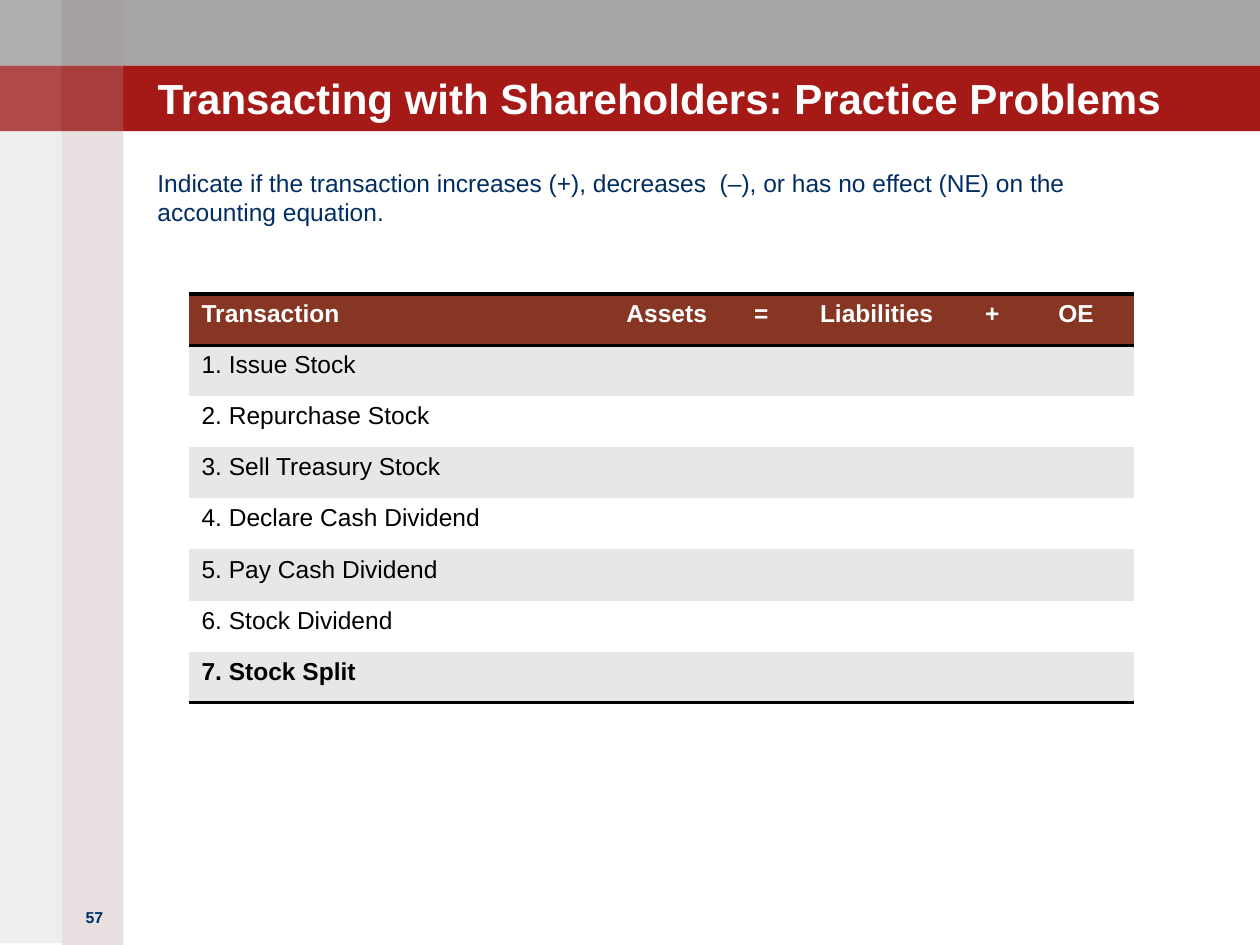
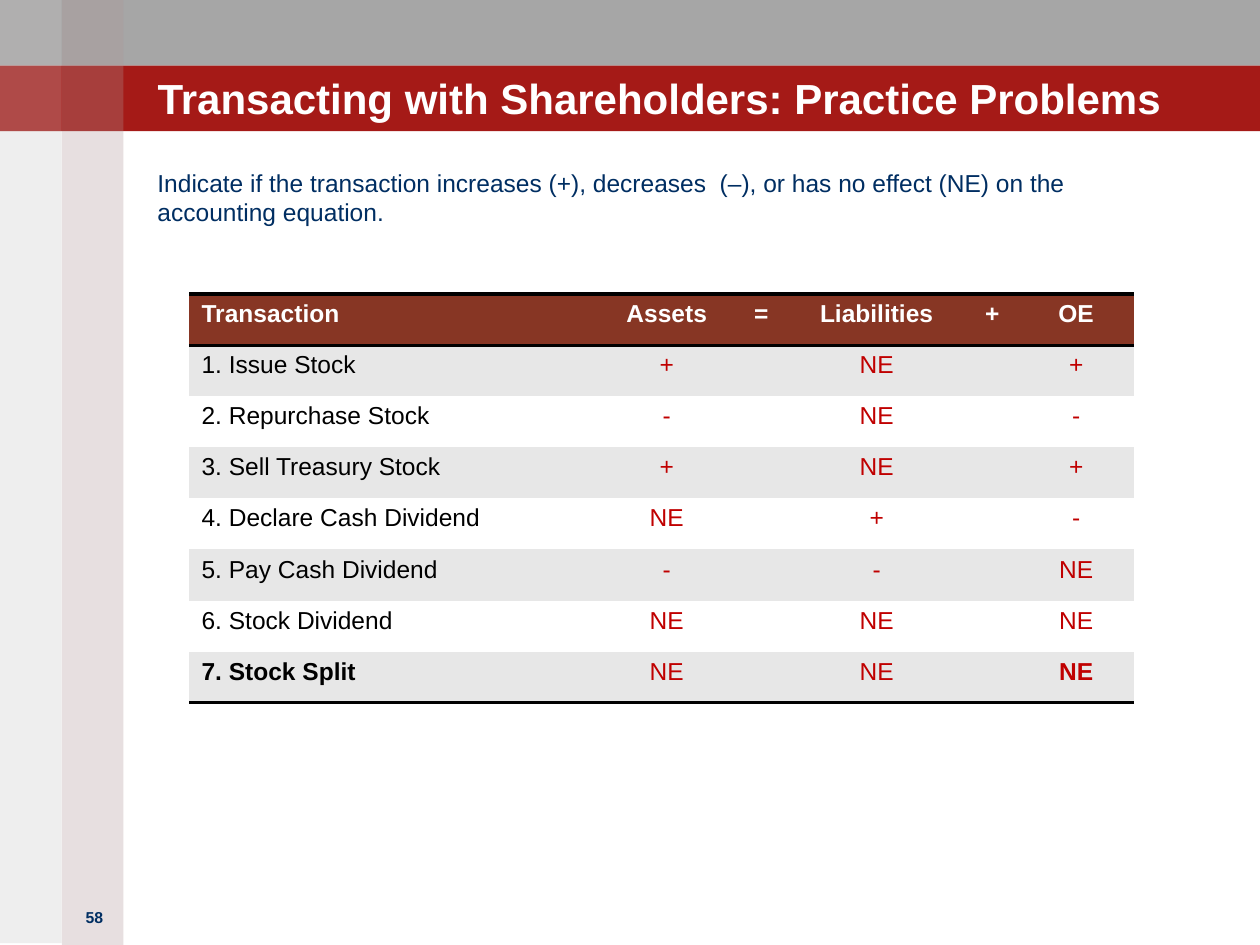
import pptx
import pptx.dml.color
import pptx.enum.shapes
import pptx.enum.text
import pptx.oxml
import pptx.oxml.ns
import pptx.util

Pt = pptx.util.Pt
RGBColor = pptx.dml.color.RGBColor
ALIGN = pptx.enum.text.PP_ALIGN
ANCHOR = pptx.enum.text.MSO_ANCHOR
qn = pptx.oxml.ns.qn

# Colours
WHITE = RGBColor(0xFF, 0xFF, 0xFF)
BLACK = RGBColor(0, 0, 0)
GREY = RGBColor(0xA6, 0xA6, 0xA6)
RED = RGBColor(0xA5, 0x1A, 0x17)
ROSE = RGBColor(0xA0, 0x82, 0x84)
ASH = RGBColor(0x93, 0x8F, 0x8F)
NAVY = RGBColor(0x00, 0x2E, 0x62)
BROWN = RGBColor(0x87, 0x36, 0x24)
ROW_GREY = RGBColor(0xE7, 0xE7, 0xE7)
ANSWER_RED = RGBColor(0xC0, 0x00, 0x00)

# Text formats
TITLE = {"name": "Arial", "size": Pt(24), "bold": True}
BODY = {"name": "Arial", "size": Pt(14), "bold": False}
HEADING = {**BODY, "bold": True}
NUMBER = {**HEADING, "size": Pt(9)}

# Shared geometry, in points
WIDTH, HEIGHT = 720, 540
BAND = 37.5
STRIPE = 35.3
ROW_HEIGHT = 29.2
COLUMNS = (234, 78, 30, 102, 30, 66)

# Wording
HEADER = ("Transaction", "Assets", "=", "Liabilities", "+", "OE")
TRANSACTIONS = ("Issue Stock", "Repurchase Stock", "Sell Treasury Stock",
                "Declare Cash Dividend", "Pay Cash Dividend",
                "Stock Dividend", "Stock Split")
ANSWERS = (("+", "NE", "+"), ("-", "NE", "-"), ("+", "NE", "+"),
           ("NE", "+", "-"), ("-", "-", "NE"), ("NE", "NE", "NE"),
           ("NE", "NE", "NE"))
BLANKS = (("", "", ""),) * len(TRANSACTIONS)
TITLE_TEXT = "Transacting with Shareholders: Practice Problems"
INSTRUCTION = ("Indicate if the transaction increases (+), decreases  (–), "
               "or has no effect (NE) on the accounting equation.")


def write(tf, text, style, color, align=ALIGN.LEFT):
    p = tf.paragraphs[0]
    p.alignment = align
    r = p.add_run()
    r.text = text
    for key, value in style.items():
        setattr(r.font, key, value)
    r.font.color.rgb = color


def set_frame(tf, anchor):
    frame = {"word_wrap": True, "vertical_anchor": anchor, "margin_left": 0,
             "margin_top": 0, "margin_right": 0, "margin_bottom": 0}
    for key, value in frame.items():
        setattr(tf, key, value)


def add_rect(slide, x, y, w, h, color, alpha=100):
    sp = slide.shapes.add_shape(pptx.enum.shapes.MSO_SHAPE.RECTANGLE,
                                Pt(x), Pt(y), Pt(w), Pt(h))
    sp.shadow.inherit = False
    sp.fill.solid()
    sp.fill.fore_color.rgb = color
    sp.line.fill.background()
    if alpha < 100:
        for clr in sp.element.spPr.iter(qn("a:srgbClr")):
            clr.append(pptx.oxml.parse_xml(
                f'<a:alpha {pptx.oxml.ns.nsdecls("a")} val="{alpha * 1000}"/>'))


def add_bands(slide):
    for row, color in enumerate((GREY, RED)):
        add_rect(slide, 0, row * BAND, WIDTH, BAND, color)
    # Side stripes, then a light tint where they cross the bands
    add_rect(slide, STRIPE, 0, STRIPE, HEIGHT, ROSE, 25)
    add_rect(slide, 0, 0, STRIPE, HEIGHT - 1, ASH, 15)
    for row in range(2):
        for column, alpha in enumerate((15, 5)):
            add_rect(slide, column * STRIPE, row * BAND, STRIPE, BAND,
                     WHITE, alpha)


def add_title(slide, text):
    sp = slide.shapes.title
    sp.left, sp.top, sp.width, sp.height = Pt(90), Pt(22.3), Pt(594), Pt(48.2)
    set_frame(sp.text_frame, ANCHOR.BOTTOM)
    write(sp.text_frame, text, TITLE, WHITE)
    # Bring the title in front of the bands
    sp.element.getparent().append(sp.element)


def add_instruction(slide, text):
    sp = slide.shapes.add_textbox(Pt(90), Pt(96), Pt(582), Pt(396))
    set_frame(sp.text_frame, ANCHOR.TOP)
    write(sp.text_frame, text, BODY, NAVY)


def add_page_number(slide, number):
    sp = slide.shapes.add_textbox(Pt(36), Pt(515), Pt(36), Pt(36))
    sp.text_frame.word_wrap = True
    write(sp.text_frame, str(number), NUMBER, NAVY, ALIGN.CENTER)


def add_border(cell, tag):
    cell._tc.get_or_add_tcPr().insert(0, pptx.oxml.parse_xml(
        f'<a:{tag} {pptx.oxml.ns.nsdecls("a")} w="{Pt(2)}"><a:solidFill>'
        f'<a:srgbClr val="{BLACK}"/></a:solidFill></a:{tag}>'))


def add_equation_table(slide, answers):
    rows = [HEADER]
    for i, (name, marks) in enumerate(zip(TRANSACTIONS, answers), 1):
        assets, liabilities, equity = marks
        rows.append((f"{i}. {name}", assets, "", liabilities, "", equity))
    last_row, last_column = len(rows) - 1, len(COLUMNS) - 1

    frame = slide.shapes.add_table(len(rows), len(COLUMNS), Pt(108), Pt(168),
                                   Pt(sum(COLUMNS)), Pt(ROW_HEIGHT * len(rows)))
    # Plain style without grid lines
    for style in frame.element.iter(qn("a:tableStyleId")):
        style.text = "{2D5ABB26-0587-4C30-8999-92F81FD0307C}"
    table = frame.table
    for column, width in zip(table.columns, COLUMNS):
        column.width = Pt(width)

    for i, texts in enumerate(rows):
        table.rows[i].height = Pt(ROW_HEIGHT)
        for j, text in enumerate(texts):
            cell = table.cell(i, j)
            cell.fill.solid()
            if i == 0:
                fill, color = BROWN, WHITE
            else:
                fill = ROW_GREY if i % 2 else WHITE
                color = ANSWER_RED if j else BLACK
            cell.fill.fore_color.rgb = fill
            if text:
                bold = i == 0 or (i == last_row and j in (0, last_column))
                write(cell.text_frame, text, HEADING if bold else BODY, color,
                      ALIGN.CENTER if j else ALIGN.LEFT)
            if i in (0, last_row):
                add_border(cell, "lnB")
            if i == 0:
                add_border(cell, "lnT")


def add_practice_slide(prs, number, answers):
    slide = prs.slides.add_slide(prs.slide_layouts[5])
    add_bands(slide)
    add_page_number(slide, number)
    add_title(slide, TITLE_TEXT)
    add_instruction(slide, INSTRUCTION)
    add_equation_table(slide, answers)


def main():
    prs = pptx.Presentation()
    prs.slide_width, prs.slide_height = Pt(WIDTH), Pt(HEIGHT)
    for number, answers in enumerate((BLANKS, ANSWERS), 57):
        add_practice_slide(prs, number, answers)
    prs.save("out.pptx")


if __name__ == "__main__":
    main()
